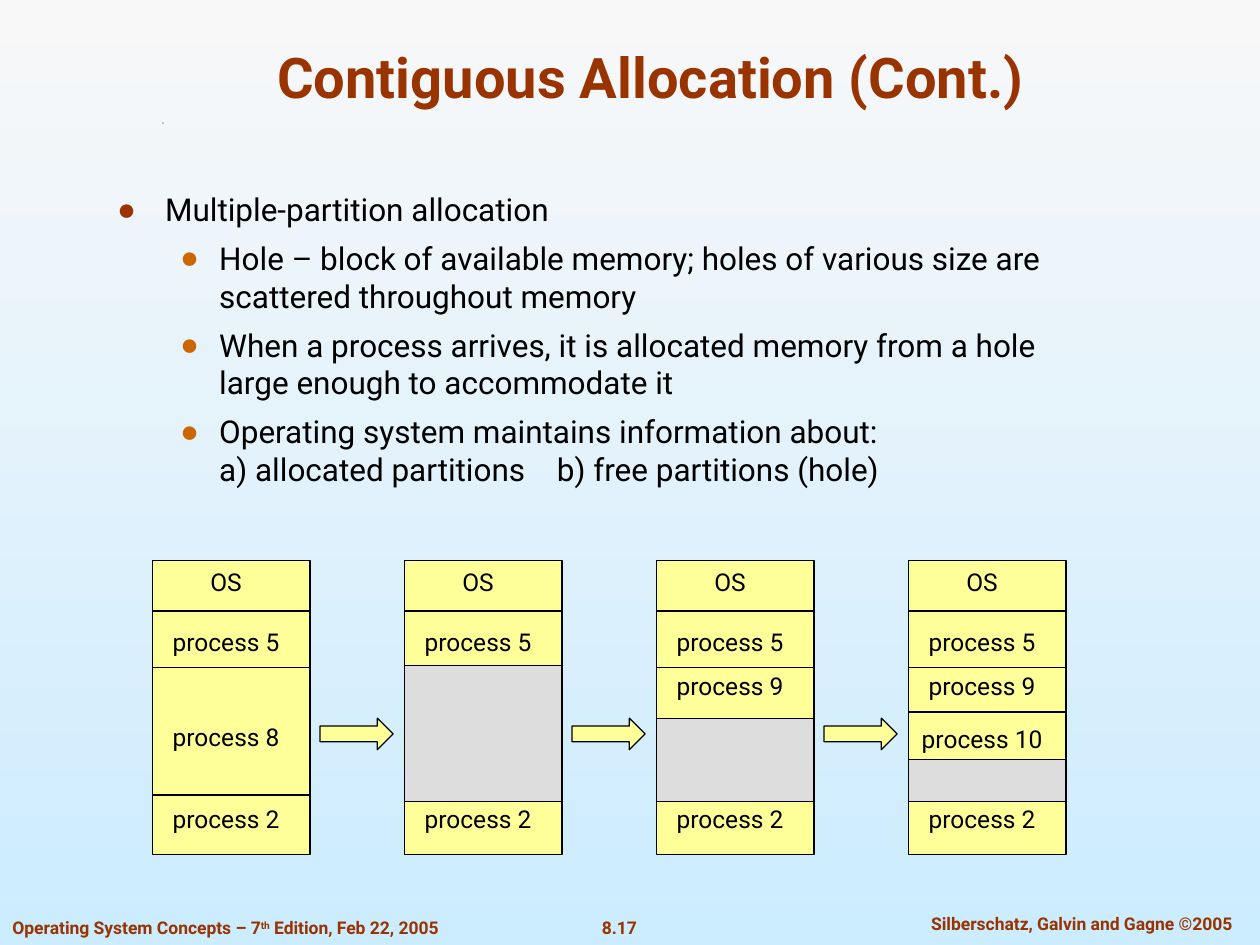
from dataclasses import dataclass

from lxml.etree import SubElement
from pptx import Presentation
from pptx.dml.color import RGBColor
from pptx.enum.shapes import MSO_CONNECTOR, MSO_SHAPE
from pptx.enum.text import MSO_ANCHOR, MSO_AUTO_SIZE, PP_ALIGN
from pptx.oxml.ns import qn
from pptx.util import Inches, Pt

FONT = "Roboto"
BLACK, BROWN, ORANGE = "000000", "993300", "CC6600"
YELLOW, GRAY = "FFFF99", "DDDDDD"

MEMORY_LEFT, MEMORY_TOP = 1.21, 4.45
MEMORY_WIDTH, MEMORY_HEIGHT = 1.25, 2.33
MEMORY_PITCH = 2
COMMON_DIVIDERS = (4.85, 5.3, 6.31)
LABEL_WIDTH, LABEL_HEIGHT = 1.17, 0.33
HOLE_BOTTOM = 6.36


@dataclass(frozen=True)
class Label:
    text: str
    top: float


@dataclass(frozen=True)
class MemoryState:
    labels: tuple[Label, ...] = ()
    hole_top: float | None = None
    extra_dividers: tuple[float, ...] = ()


@dataclass(frozen=True)
class Footer:
    text: str
    left: float
    top: float
    width: float
    align: PP_ALIGN = PP_ALIGN.CENTER
    superscript: str = ""
    ending: str = ""


@dataclass(frozen=True)
class Bullet:
    text: str
    level: int = 1
    tab: float | None = None


COMMON_LABELS = (Label("OS", 4.45), Label("process 5", 4.93), Label("process 2", 6.33))
PROCESS_9 = Label("process 9", 5.28)
STATES = (
    MemoryState((Label("process 8", 5.68),)),
    MemoryState(hole_top=5.28),
    MemoryState((PROCESS_9,), hole_top=5.7),
    MemoryState((PROCESS_9, Label("process 10", 5.7)), 6.03, (5.65,)),
)
FOOTERS = (
    Footer("8.17", 4.67, 7.23, 0.49),
    Footer("Silberschatz, Galvin and Gagne ©2005", 7.1, 7.2, 2.97),
    Footer("Operating System Concepts – 7", 0, 7.23, 3.78, PP_ALIGN.LEFT,
           "th", " Edition, Feb 22, 2005"),
)
BULLETS = (
    Bullet("Multiple-partition allocation", 0),
    Bullet("Hole – block of available memory; holes of various size are "
           "scattered throughout memory"),
    Bullet("When a process arrives, it is allocated memory from a hole "
           "large enough to accommodate it"),
    Bullet("Operating system maintains information about:\v"
           "a) allocated partitions\tb) free partitions (hole)", tab=3.49),
)


def color(value: str) -> RGBColor:
    return RGBColor.from_string(value)


def set_font(paragraph, size: float, value: str, bold: bool = False) -> None:
    font = paragraph.font
    font.name, font.size, font.bold = FONT, Pt(size), bold
    font.color.rgb = color(value)


def place(shape, left: float, top: float, width: float, height: float) -> None:
    shape.left, shape.top = Inches(left), Inches(top)
    shape.width, shape.height = Inches(width), Inches(height)


def add_text(slide, text: str, left: float, top: float, width: float, height: float,
             align: PP_ALIGN, anchor: MSO_ANCHOR):
    """Add a one-line text box and return its paragraph."""
    box = slide.shapes.add_textbox(Inches(left), Inches(top), Inches(width), Inches(height))
    frame = box.text_frame
    frame.word_wrap = align == PP_ALIGN.LEFT
    frame.auto_size = MSO_AUTO_SIZE.SHAPE_TO_FIT_TEXT
    frame.vertical_anchor = anchor
    paragraph = frame.paragraphs[0]
    paragraph.text, paragraph.alignment = text, align
    return paragraph


def add_block(slide, kind: MSO_SHAPE, left: float, top: float, width: float,
              height: float, fill: str) -> None:
    block = slide.shapes.add_shape(kind, Inches(left), Inches(top), Inches(width), Inches(height))
    block.shadow.inherit = False
    block.fill.solid()
    block.fill.fore_color.rgb = color(fill)
    block.line.color.rgb = color(BLACK)
    block.line.width = Pt(0.75)


def add_divider(slide, left: float, top: float) -> None:
    divider = slide.shapes.add_connector(
        MSO_CONNECTOR.STRAIGHT, Inches(left), Inches(top),
        Inches(left + MEMORY_WIDTH), Inches(top))
    divider.line.color.rgb = color(BLACK)
    divider.line.width = Pt(0.75)
    SubElement(divider._element.spPr, qn("a:effectLst"))


def add_memory(slide, left: float, state: MemoryState) -> None:
    add_block(slide, MSO_SHAPE.RECTANGLE, left, MEMORY_TOP, MEMORY_WIDTH, MEMORY_HEIGHT, YELLOW)
    for top in COMMON_DIVIDERS + state.extra_dividers:
        add_divider(slide, left, top)
    if state.hole_top is not None:
        add_block(slide, MSO_SHAPE.RECTANGLE, left, state.hole_top, MEMORY_WIDTH,
                  HOLE_BOTTOM - state.hole_top, GRAY)
    for label in COMMON_LABELS + state.labels:
        paragraph = add_text(slide, label.text, left, label.top, LABEL_WIDTH, LABEL_HEIGHT,
                             PP_ALIGN.CENTER, MSO_ANCHOR.MIDDLE)
        set_font(paragraph, 14, BLACK)


def add_footer(slide, footer: Footer) -> None:
    paragraph = add_text(slide, footer.text, footer.left, footer.top, footer.width, 0.27,
                         footer.align, MSO_ANCHOR.TOP)
    if footer.superscript:
        raised = paragraph.add_run()
        raised.text = footer.superscript
        raised.font._element.set("baseline", "30000")
        paragraph.add_run().text = footer.ending
    set_font(paragraph, 10, BROWN, bold=True)


def write_bullet(paragraph, bullet: Bullet) -> None:
    paragraph.text, paragraph.level = bullet.text, bullet.level
    margin, hanging, dot = ((0.38, 0.38, BROWN), (0.81, 0.31, ORANGE))[bullet.level]
    properties = paragraph._p.get_or_add_pPr()
    properties.set("marL", str(Inches(margin)))
    properties.set("indent", str(-Inches(hanging)))
    SubElement(SubElement(properties, qn("a:buClr")), qn("a:srgbClr"), val=dot)
    SubElement(properties, qn("a:buChar"), char="●")
    if bullet.tab is not None:
        tabs = SubElement(properties, qn("a:tabLst"))
        SubElement(tabs, qn("a:tab"), pos=str(Inches(bullet.tab)), algn="l")
    paragraph.space_before = Pt(6.3 if bullet.level else 0)
    set_font(paragraph, 18, BLACK)


def add_speck(slide) -> None:
    """Draw the tiny black mark under the title."""
    outline = slide.shapes.build_freeform(Inches(1.29), Inches(0.98))
    outline.add_line_segments([(Inches(1.29), Inches(0.97)), (Inches(1.3), Inches(0.98))])
    speck = outline.convert_to_shape()
    speck.shadow.inherit = False
    speck.fill.solid()
    speck.fill.fore_color.rgb = color(BLACK)
    speck.line.fill.background()


def main() -> None:
    deck = Presentation()
    deck.slide_width, deck.slide_height = Inches(10), Inches(7.5)
    slide = deck.slides.add_slide(deck.slide_layouts[1])

    background = slide.background.fill
    background.gradient()
    background.gradient_angle = 270
    for stop, value in zip(background.gradient_stops, ("F8F8F8", "CCECFF")):
        stop.color.rgb = color(value)

    for footer in FOOTERS:
        add_footer(slide, footer)
    add_speck(slide)

    title, body = slide.placeholders
    place(title, 0.75, 0.25, 8.83, 0.67)
    title.text_frame.text = "Contiguous Allocation (Cont.)"
    title.text_frame.vertical_anchor = MSO_ANCHOR.BOTTOM
    title.text_frame.auto_size = MSO_AUTO_SIZE.NONE
    set_font(title.text_frame.paragraphs[0], 32, BROWN, bold=True)

    place(body, 0.83, 1.46, 8.04, 2.85)
    body.text_frame.auto_size = MSO_AUTO_SIZE.NONE
    for index, bullet in enumerate(BULLETS):
        frame = body.text_frame
        write_bullet(frame.add_paragraph() if index else frame.paragraphs[0], bullet)

    for index, state in enumerate(STATES):
        left = MEMORY_LEFT + index * MEMORY_PITCH
        add_memory(slide, left, state)
        if index:
            add_block(slide, MSO_SHAPE.RIGHT_ARROW, left - 0.67, 5.7, 0.58, 0.25, YELLOW)

    deck.save("out.pptx")


if __name__ == "__main__":
    main()
